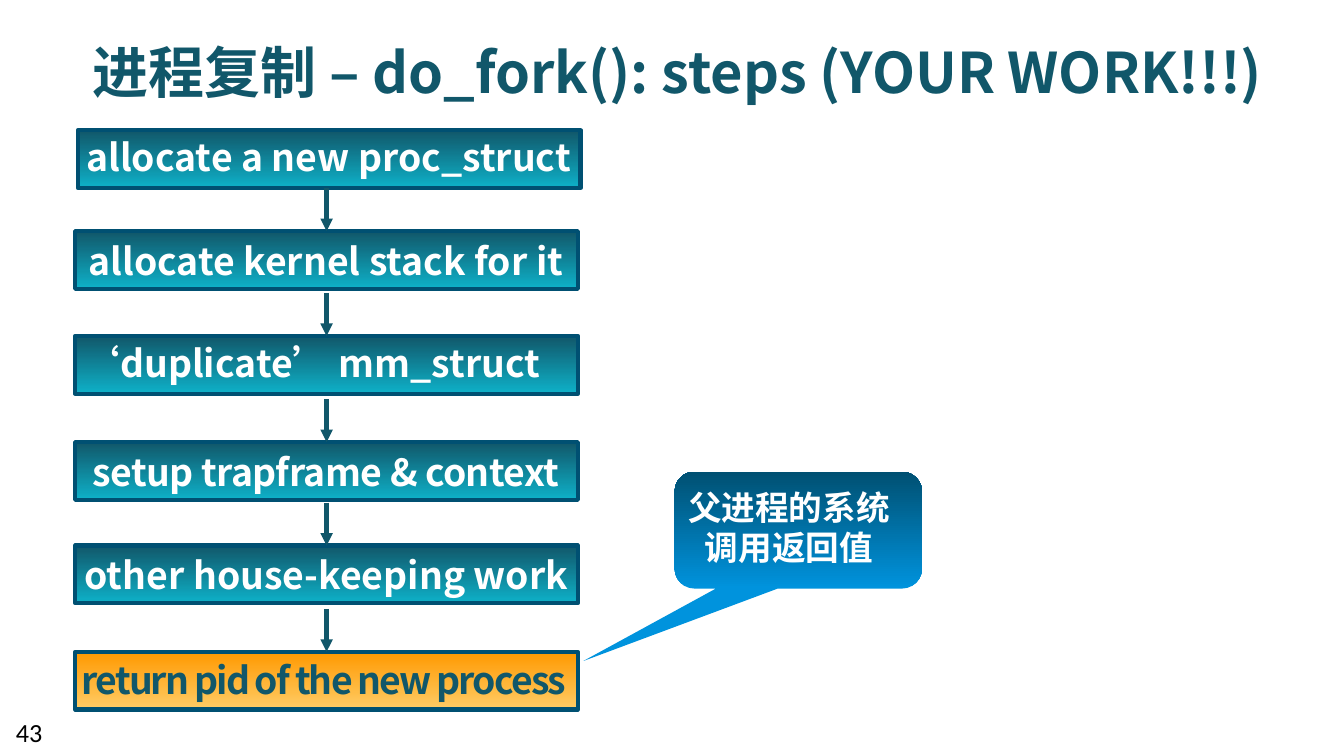
from typing import NamedTuple

from lxml import etree
from pptx import Presentation
from pptx.dml.color import RGBColor
from pptx.enum import shapes, text
from pptx.oxml.ns import qn
from pptx.util import Inches, Pt

FONT = "Noto Sans CJK SC"
WHITE = RGBColor(0xFF, 0xFF, 0xFF)
BLACK = RGBColor(0x00, 0x00, 0x00)
TEAL = RGBColor(0x11, 0x57, 0x6A)
AQUA = RGBColor(0x0E, 0xB1, 0xC8)
NAVY = RGBColor(0x00, 0x50, 0x72)
BLUE = RGBColor(0x00, 0x93, 0xDD)
ORANGE = RGBColor(0xFF, 0x99, 0x00)
SAND = RGBColor(0xFF, 0xCC, 0x66)

BOX_WIDTH, BOX_HEIGHT = 3.74, 0.43
ARROW_X, ARROW_LENGTH = 2.43, 0.32


class Step(NamedTuple):
    label: str
    top: float
    label_left: float
    label_top: float
    label_width: float
    left: float = 0.56
    bottom_color: RGBColor = AQUA
    top_color: RGBColor = TEAL
    text_color: RGBColor = WHITE
    spacing: float = 0


STEPS = [
    Step("allocate a new proc_struct", 0.97, 0.5, 0.95, 3.89, left=0.58),
    Step("allocate kernel stack for it", 1.72, 0.5, 1.72, 3.85),
    Step("‘duplicate’ mm_struct", 2.5, 0.51, 2.48, 3.62),
    Step("setup trapframe & context", 3.29, 0.49, 3.29, 3.87, spacing=-0.3),
    Step("other house-keeping work", 4.06, 0.46, 4.06, 3.94),
    Step("return pid of the new process", 4.85, 0.43, 4.84, 3.96,
         bottom_color=SAND, top_color=ORANGE, text_color=TEAL, spacing=-1),
]


def write(sp, lines: list[str], *, size: float, color: RGBColor, font: str = FONT,
          bold: bool = True, align=text.PP_ALIGN.CENTER, spacing: float = 0,
          wrap: bool = False, grow: bool = True) -> None:
    tf = sp.text_frame
    tf.word_wrap = wrap
    tf.auto_size = text.MSO_AUTO_SIZE.SHAPE_TO_FIT_TEXT if grow else text.MSO_AUTO_SIZE.NONE
    tf.vertical_anchor = text.MSO_ANCHOR.TOP
    for i, line in enumerate(lines):
        p = tf.add_paragraph() if i else tf.paragraphs[0]
        p.alignment = align
        r = p.add_run()
        r.text = line
        r.font.name, r.font.size, r.font.bold = font, Pt(size), bold
        r.font.color.rgb = color
        r_pr = r._r.get_or_add_rPr()
        etree.SubElement(r_pr, qn("a:ea")).set("typeface", font)
        if spacing:
            r_pr.set("spc", str(round(spacing * 100)))


def add_text(s, left: float, top: float, width: float, height: float,
             lines: list[str], **style) -> None:
    box = s.shapes.add_textbox(Inches(left), Inches(top), Inches(width), Inches(height))
    write(box, lines, **style)


def add_gradient_shape(s, kind, left: float, top: float, width: float, height: float,
                       bottom_color: RGBColor, top_color: RGBColor):
    sp = s.shapes.add_shape(kind, Inches(left), Inches(top), Inches(width), Inches(height))
    sp.shadow.inherit = False
    sp.fill.gradient()
    sp.fill.gradient_angle = 90
    for stop, color in zip(sp.fill.gradient_stops, (bottom_color, top_color)):
        stop.color.rgb = color
    sp.line.fill.background()
    return sp


def add_step(s, step: Step) -> None:
    box = add_gradient_shape(s, shapes.MSO_SHAPE.RECTANGLE, step.left, step.top,
                             BOX_WIDTH, BOX_HEIGHT, step.bottom_color, step.top_color)
    box.line.color.rgb = NAVY
    box.line.width = Pt(2.25)
    add_text(s, step.label_left, step.label_top, step.label_width, 0.44, [step.label],
             size=20, color=step.text_color, spacing=step.spacing)


def add_arrow_into(s, step: Step) -> None:
    x = Inches(ARROW_X)
    arrow = s.shapes.add_connector(shapes.MSO_CONNECTOR.STRAIGHT, x,
                                   Inches(step.top - ARROW_LENGTH), x, Inches(step.top))
    arrow.line.color.rgb = TEAL
    arrow.line.width = Pt(2.25)
    sp_pr = arrow._element.spPr
    etree.SubElement(sp_pr.get_or_add_ln(), qn("a:tailEnd")).set("type", "triangle")
    etree.SubElement(sp_pr, qn("a:effectLst"))


def add_callout(s) -> None:
    callout = add_gradient_shape(s, shapes.MSO_SHAPE.ROUNDED_RECTANGULAR_CALLOUT,
                                 5.02, 3.51, 1.84, 0.87, BLUE, NAVY)
    for i, value in enumerate((-0.87, 1.12, 0.17)):
        callout.adjustments[i] = value
    add_text(s, 5.01, 3.57, 1.72, 0.71, ["父进程的系统", "调用返回值"], size=18, color=WHITE)


def main() -> None:
    prs = Presentation()
    prs.slide_width = Inches(10)
    prs.slide_height = prs.slide_width * 9 // 16
    s = prs.slides.add_slide(prs.slide_layouts[5])

    title = s.shapes.title
    title.left, title.top = Inches(0.39), Inches(0.23)
    title.width, title.height = Inches(9.3), Inches(0.61)
    write(title, ["进程复制 – do_fork(): steps (YOUR WORK!!!)"], size=30, color=TEAL, wrap=True)

    for i, step in enumerate(STEPS):
        add_step(s, step)
        if i:
            add_arrow_into(s, step)
    add_callout(s)
    add_text(s, 0.02, 5.28, 0.48, 0.3, ["43"], size=14, color=BLACK, font="Calibri",
             bold=False, align=text.PP_ALIGN.LEFT, wrap=True, grow=False)
    prs.save("out.pptx")


if __name__ == "__main__":
    main()
